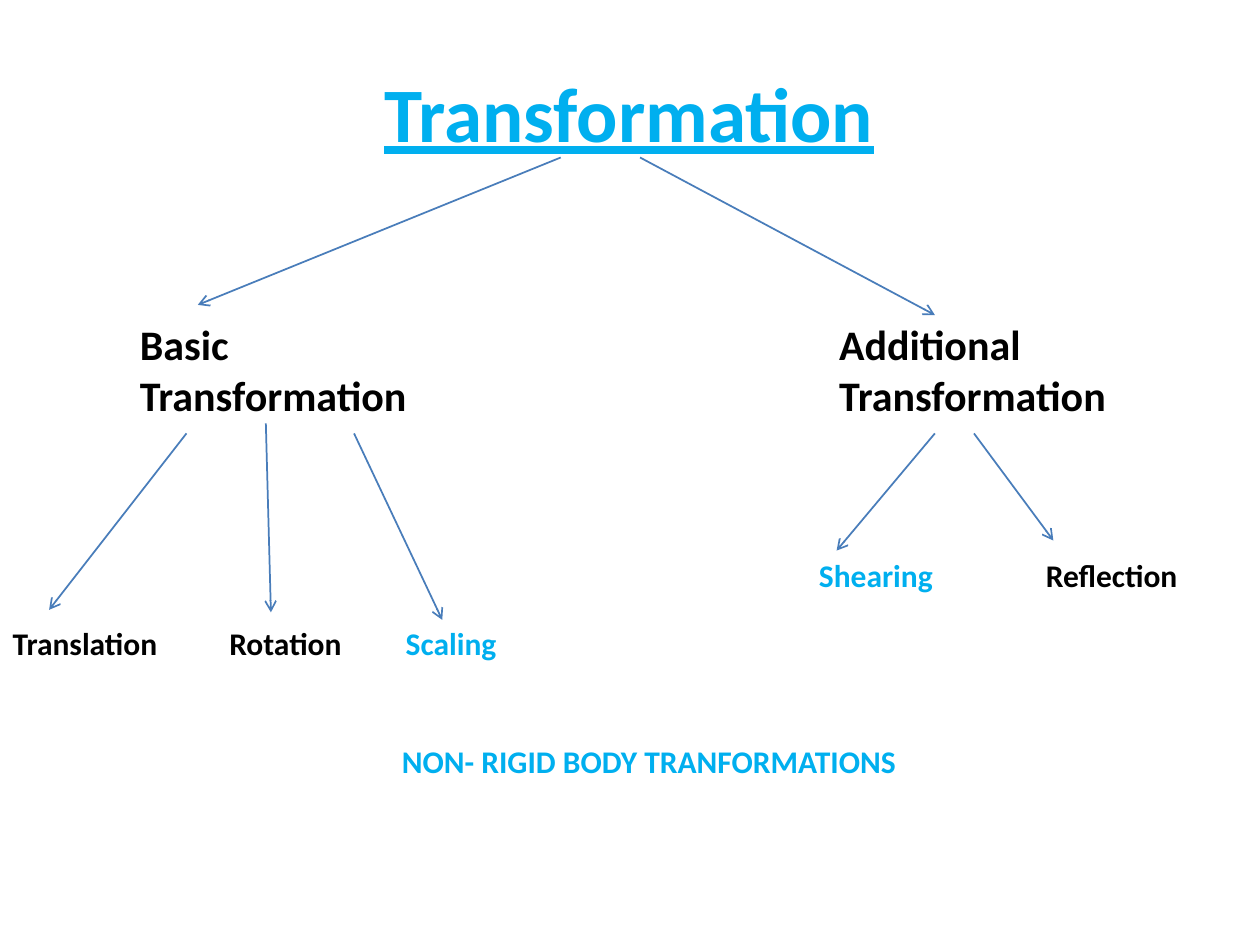
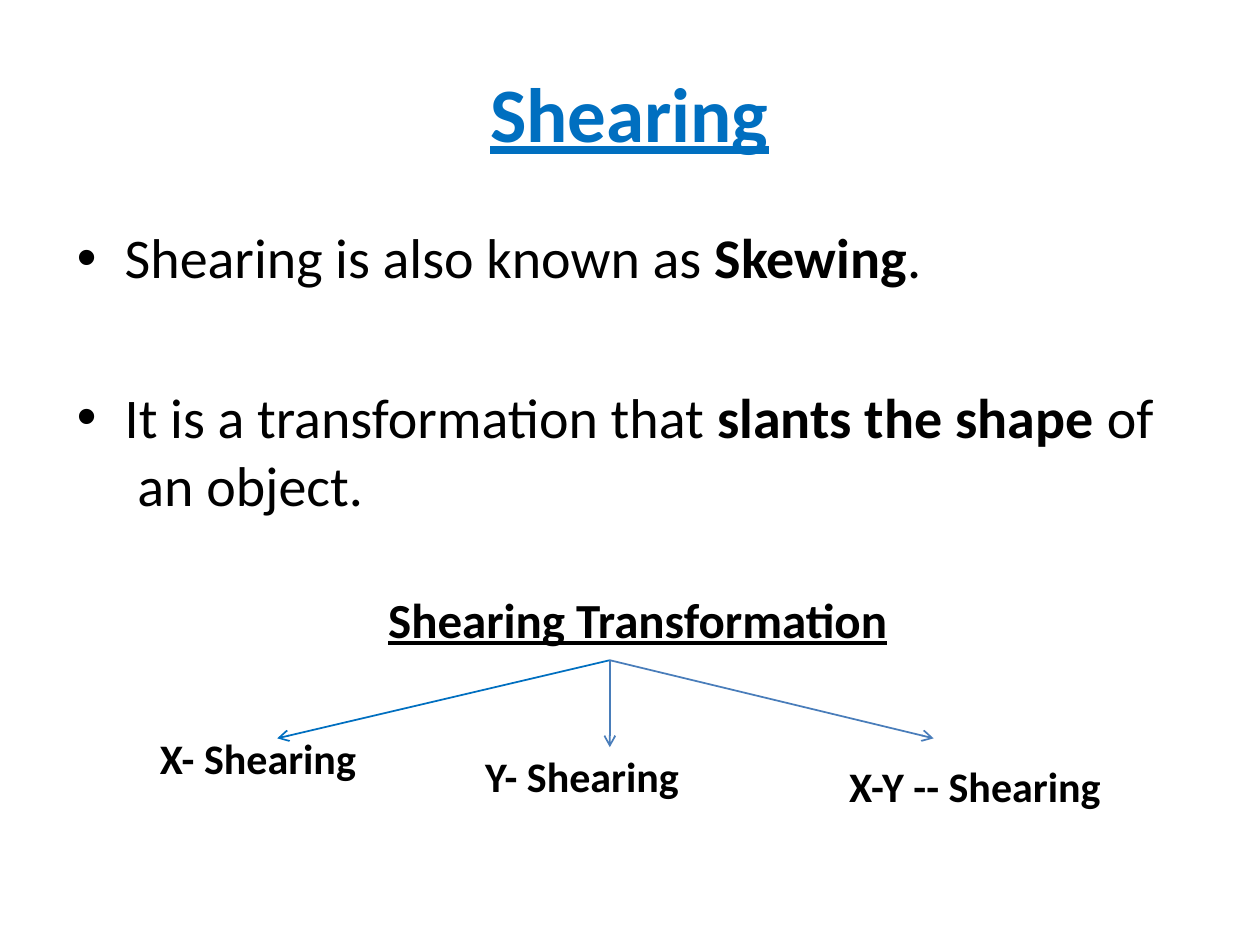
from pptx import Presentation
from pptx import util as u
from pptx.dml.color import RGBColor
from pptx.enum import shapes, text
from pptx.oxml.ns import qn
from lxml import etree

PX = 9144  # EMU; 100 px to the inch
FONT = "Calibri"
BLACK, SKY, BLUE, LINE = "000000", "00AFEF", "006FC0", "497DBA"
TITLE_ONLY = 5


def rgb(value):
    return RGBColor.from_string(value)


def write(para, words, size=18, color=BLACK, bold=True, underline=False):
    span = para.add_run()
    span.text = words
    font = span.font
    font.name, font.size = FONT, u.Pt(size)
    font.bold, font.underline = bold, underline
    font.color.rgb = rgb(color)


def set_frame(shape):
    """Wrap text from the top left corner, with almost no insets."""
    frame = shape.text_frame
    frame.word_wrap = True
    frame.auto_size = text.MSO_AUTO_SIZE.NONE
    frame.vertical_anchor = text.MSO_ANCHOR.TOP
    frame.margin_right = frame.margin_bottom = 0
    frame.margin_left = frame.margin_top = PX
    return frame


def add_label(page, left, top, width, height, words="", **style):
    box = page.shapes.add_textbox(*(n * PX for n in (left, top, width, height)))
    frame = set_frame(box)
    if words:
        write(frame.paragraphs[0], words, **style)
    return frame


def add_titled_page(deck, words, left, width, color):
    page = deck.slides.add_slide(deck.slide_layouts[TITLE_ONLY])
    title = page.shapes.title
    title.left, title.top = left * PX, 51 * PX
    title.width, title.height = width * PX, 76 * PX
    para = set_frame(title).paragraphs[0]
    para.alignment = text.PP_ALIGN.LEFT
    write(para, words, size=44, color=color, underline=True)
    return page


def add_arrow(page, x1, y1, x2, y2, color=LINE):
    arrow = page.shapes.add_connector(
        shapes.MSO_CONNECTOR.STRAIGHT, *(n * PX for n in (x1, y1, x2, y2)))
    arrow.line.color.rgb = rgb(color)
    arrow.line.width = u.Pt(1)
    etree.SubElement(arrow.line._get_or_add_ln(), qn("a:tailEnd"), type="arrow")
    etree.SubElement(arrow._element.spPr, qn("a:effectLst"))


def add_branch(page, left, top, heading, arrows, leaf_top, leaves):
    """Heading with arrows down to a row of leaves, all relative to its corner."""
    add_label(page, left, top, 215, 83, heading, size=24)
    for x1, y1, x2, y2 in arrows:
        add_arrow(page, left + x1, top + y1, left + x2, top + y2)
    for words, x, width, color in leaves:
        add_label(page, left + x, top + leaf_top, width, 33, words, color=color)


def add_bullets(page, left, top, width, height):
    frame = add_label(page, left, top, width, height)
    points = [
        [("Shearing is also known as ", False), ("Skewing", True), (".", False)],
        [("It is a transformation that ", False), ("slants the shape ", True),
         ("of  an object.", False)],
    ]
    for number, point in enumerate(points):
        para = frame.add_paragraph() if number else frame.paragraphs[0]
        para.space_before = u.Pt(53 * number)
        props = para._p.get_or_add_pPr()
        props.set("marL", str(39 * PX))
        props.set("indent", str(-38 * PX))
        etree.SubElement(props, qn("a:buFont"), typeface="Arial")
        etree.SubElement(props, qn("a:buChar"), char="•")
        for words, bold in point:
            write(para, words, size=32, bold=bold)
    heading = frame.add_paragraph()
    heading.alignment = text.PP_ALIGN.CENTER
    heading.space_before = u.Pt(41)
    heading._p.get_or_add_pPr().set("marL", str(36 * PX))
    write(heading, "Shearing Transformation", size=28, underline=True)


def add_shearing_kinds(page, left, top):
    """Three kinds fanning out from one point."""
    kinds = [
        ("X- Shearing", -358, 56, 160, -264, 62, BLUE),
        ("Y- Shearing", -100, 71, 158, 0, 69, LINE),
        ("X-Y -- Shearing", 189, 79, 205, 257, 62, LINE),
    ]
    for words, x, y, width, tip_x, tip_y, color in kinds:
        add_label(page, left + x, top + y, width, 43, words, size=24)
        add_arrow(page, left, top, left + tip_x, top + tip_y, color)


def build_transformation(deck):
    page = add_titled_page(deck, "Transformation", 304, 392, SKY)
    add_arrow(page, 445, 125, 157, 242)
    add_arrow(page, 508, 125, 742, 250)
    add_branch(page, 110, 252, "Basic Transformation",
               [(38, 92, -71, 232), (101, 84, 105, 234), (171, 92, 241, 240)],
               242, [("Translation", -101, 118, BLACK), ("Rotation", 71, 92, BLACK),
                     ("Scaling", 211, 75, SKY)])
    add_branch(page, 665, 252, "Additional Transformation",
               [(77, 92, -1, 185), (108, 92, 171, 177)],
               188, [("Shearing", -16, 93, SKY), ("Reflection", 164, 108, BLACK)])
    add_label(page, 318, 588, 395, 33, "NON- RIGID BODY TRANFORMATIONS", color=SKY)


def build_shearing(deck):
    page = add_titled_page(deck, "Shearing", 388, 224, BLUE)
    add_bullets(page, 59, 176, 857, 344)
    add_shearing_kinds(page, 484, 524)


def main():
    deck = Presentation()
    deck.slide_width, deck.slide_height = 1000 * PX, 750 * PX
    build_transformation(deck)
    build_shearing(deck)
    deck.save("out.pptx")


if __name__ == "__main__":
    main()
